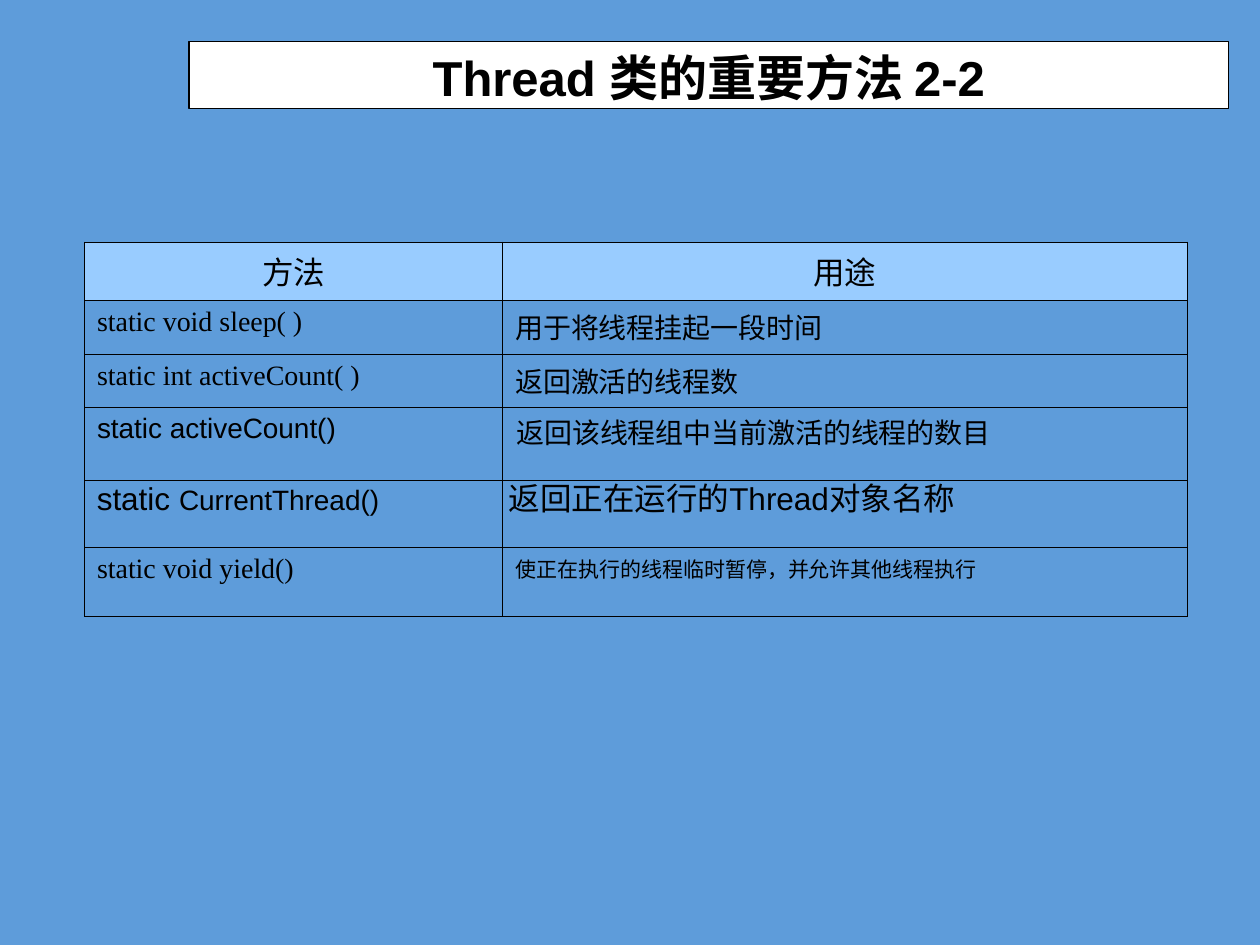
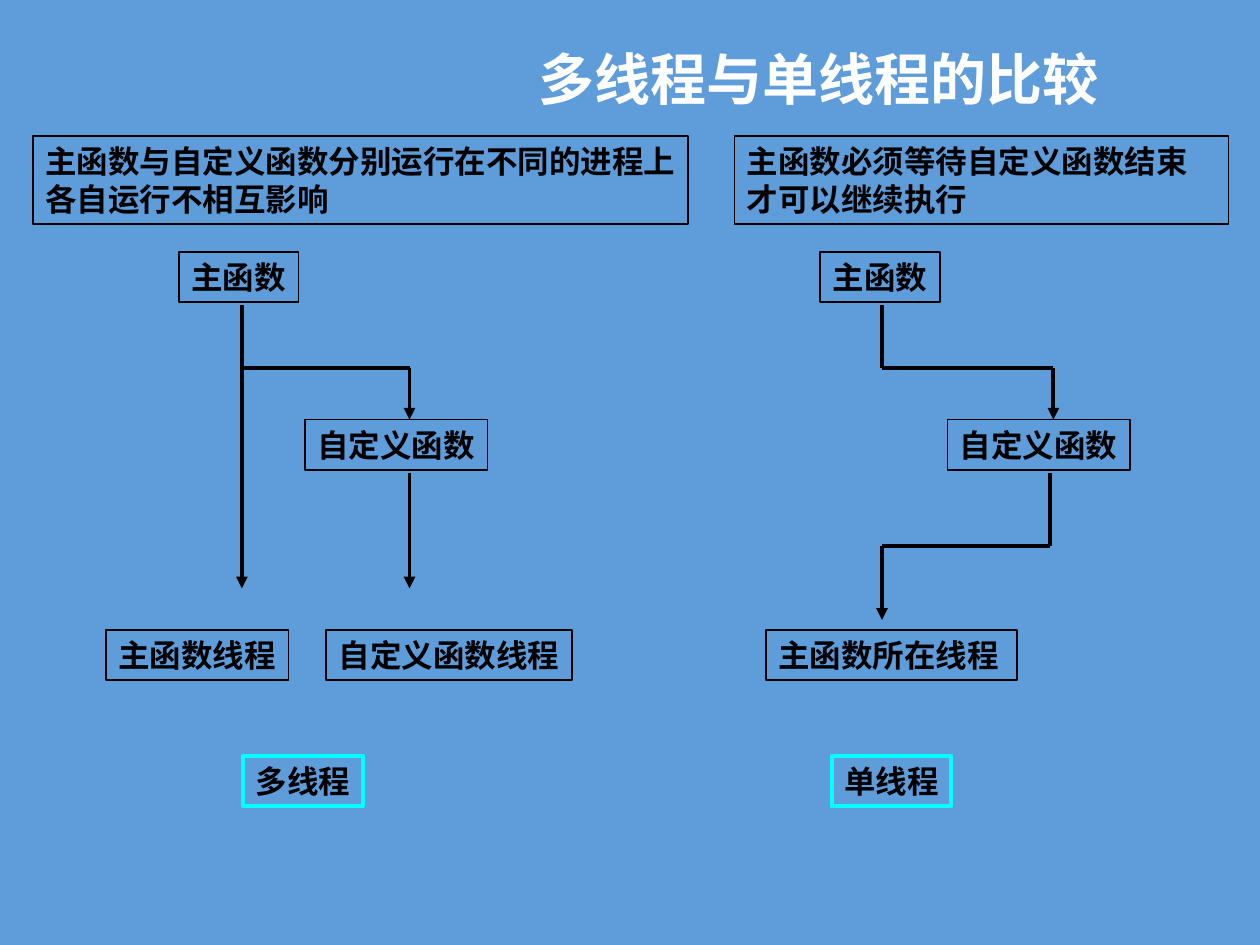
from lxml import etree
from pptx import Presentation
from pptx.dml.color import RGBColor
from pptx.enum.shapes import MSO_CONNECTOR, MSO_SHAPE
from pptx.enum.text import MSO_ANCHOR, MSO_AUTO_SIZE, PP_ALIGN
from pptx.oxml.ns import qn
from pptx.util import Inches, Pt

STRAIGHT = MSO_CONNECTOR.STRAIGHT
RECTANGLE = MSO_SHAPE.RECTANGLE
TOP = MSO_ANCHOR.TOP
NO_FIT, GROW = MSO_AUTO_SIZE.NONE, MSO_AUTO_SIZE.SHAPE_TO_FIT_TEXT
LEFT, CENTER = PP_ALIGN.LEFT, PP_ALIGN.CENTER

COLORS = {
    "background": "5E9CDA",
    "header": "99CCFF",
    "ink": "000000",
    "white": "FFFFFF",
    "caption": "00FFFF",
}
SANS, SERIF, CHINESE = "Arial", "Times New Roman", "Noto Sans CJK SC"


def write_text(paragraph, text, size=18, font=SANS, color="ink", bold=False, align=LEFT):
    paragraph.alignment = align
    run = paragraph.add_run()
    run.text = text
    run.font.size = Pt(size)
    run.font.bold = bold
    run.font.color.rgb = RGBColor.from_string(COLORS[color])
    run.font.name = font
    etree.SubElement(run.font._element, qn("a:ea"), typeface=CHINESE)


def add_box(slide, text, left, top, width, height=0.4, outline="ink", weight=1, wrap=False, **text_format):
    place = [Inches(length) for length in (left, top, width, height)]
    if outline:
        shape = slide.shapes.add_shape(RECTANGLE, *place)
        shape.shadow.inherit = False
        shape.fill.background()
        shape.line.color.rgb = RGBColor.from_string(COLORS[outline])
        shape.line.width = Pt(weight)
    else:
        shape = slide.shapes.add_textbox(*place)
    frame = shape.text_frame
    frame.word_wrap = wrap
    frame.auto_size = GROW
    frame.vertical_anchor = TOP
    for index, line in enumerate(text.split("\n")):
        paragraph = frame.add_paragraph() if index else frame.paragraphs[0]
        write_text(paragraph, line, **text_format)
    return frame


presentation = Presentation()
presentation.slide_width = Inches(10)
presentation.slide_height = Inches(7.5)
background = presentation.slide_master.background.fill
background.solid()
background.fore_color.rgb = RGBColor.from_string(COLORS["background"])
title_only = presentation.slide_layouts[5]

slides = []
for text, place, inset, size, color in [
    ("Thread 类的重要方法 2-2", (1.5, 0.33, 8.25, 0.53), 0.1, 28, "ink"),
    ("多线程与单线程的比较", (0.5, 0.3, 9, 1.25), 3.1, 32, "white"),
]:
    slide = presentation.slides.add_slide(title_only)
    title = slide.shapes.title
    title.left, title.top, title.width, title.height = [Inches(length) for length in place]
    frame = title.text_frame
    frame.auto_size = NO_FIT
    frame.vertical_anchor = TOP
    frame.margin_left = Inches(inset)
    write_text(frame.paragraphs[0], text, size=size, color=color, bold=True, align=CENTER)
    slides.append(slide)
methods_slide, comparison_slide = slides

methods_title = methods_slide.shapes.title
methods_title.fill.solid()
methods_title.fill.fore_color.rgb = RGBColor.from_string(COLORS["white"])
methods_title.line.color.rgb = RGBColor.from_string(COLORS["ink"])
methods_title.line.width = Pt(0.75)

header = {"align": CENTER}
code = {"size": 16, "font": SERIF}
purpose = {"size": 16, "font": CHINESE}
rows = [
    (0.4, ("方法", header), ("用途", header)),
    (0.43, ("static void sleep( )", code), ("用于将线程挂起一段时间", purpose)),
    (0.42, ("static int activeCount( )", code), ("返回激活的线程数", purpose)),
    (0.58, ("static activeCount()", {"size": 16}), None),
    (0.53, None, None),
    (0.55, ("static void yield()", code), ("使正在执行的线程临时暂停，并允许其他线程执行", {"size": 12})),
]
table = methods_slide.shapes.add_table(
    len(rows), 2, Inches(0.67), Inches(1.92), Inches(8.75), Inches(2.92)
).table
table.first_row = False
table.horz_banding = False
for column, width in zip(table.columns, (3.32, 5.43)):
    column.width = Inches(width)
for row_index, (height, *entries) in enumerate(rows):
    table.rows[row_index].height = Inches(height)
    for column_index, entry in enumerate(entries):
        cell = table.cell(row_index, column_index)
        properties = cell._tc.get_or_add_tcPr()
        for side in ("a:lnL", "a:lnR", "a:lnT", "a:lnB"):
            border = etree.SubElement(properties, qn(side), w=str(Pt(0.45)))
            border_fill = etree.SubElement(border, qn("a:solidFill"))
            etree.SubElement(border_fill, qn("a:srgbClr"), val=COLORS["ink"])
        if row_index == 0:
            cell.fill.solid()
            cell.fill.fore_color.rgb = RGBColor.from_string(COLORS["header"])
        else:
            cell.fill.background()
        if entry:
            text, text_format = entry
            write_text(cell.text_frame.paragraphs[0], text, **text_format)

add_box(methods_slide, "返回该线程组中当前激活的线程的数目", 4, 3.25, 3.97, 0.37, outline=None, size=16)
current_thread = add_box(methods_slide, "static ", 0.67, 3.75, 2.44, outline=None)
write_text(current_thread.paragraphs[0], "CurrentThread()", size=16)
add_box(methods_slide, "返回正在运行的Thread对象名称", 3.94, 3.75, 3.86, outline=None)

MAIN_TOP, CUSTOM_TOP, THREAD_TOP, CAPTION_TOP = 2, 3.33, 5, 6
for text, left, top, width in [
    ("主函数", 1.42, MAIN_TOP, 0.95),
    ("自定义函数", 2.42, CUSTOM_TOP, 1.45),
    ("主函数线程", 0.84, THREAD_TOP, 1.45),
    ("自定义函数线程", 2.59, THREAD_TOP, 1.95),
    ("主函数", 6.51, MAIN_TOP, 0.95),
    ("自定义函数", 7.52, CUSTOM_TOP, 1.45),
]:
    add_box(comparison_slide, text, left, top, width, bold=True)
add_box(comparison_slide, "主函数所在线程", 6.08, THREAD_TOP, 1.99, wrap=True, bold=True)
for text, left in [("多线程", 1.93), ("单线程", 6.6)]:
    add_box(comparison_slide, text, left, CAPTION_TOP, 0.95, outline="caption", weight=2.25, bold=True)
add_box(comparison_slide, "主函数与自定义函数分别运行在不同的进程上\n各自运行不相互影响", 0.26, 1.08, 5.2, 0.7, bold=True)
add_box(comparison_slide, "主函数必须等待自定义函数结束才可以继续执行", 5.83, 1.08, 3.92, 0.7, wrap=True, bold=True)

flows = [
    [(1.92, 2.42), (1.92, 4.67)],
    [(1.92, 2.92), (3.25, 2.92), (3.25, CUSTOM_TOP)],
    [(3.25, 3.75), (3.25, 4.67)],
    [(7, 2.42), (7, 2.92), (8.36, 2.92), (8.36, CUSTOM_TOP)],
    [(8.33, 3.75), (8.33, 4.33), (7, 4.33), (7, 4.92)],
]
for points in flows:
    for start, end in zip(points, points[1:]):
        connector = comparison_slide.shapes.add_connector(
            STRAIGHT, *[Inches(length) for length in start + end]
        )
        connector.line.color.rgb = RGBColor.from_string(COLORS["ink"])
        connector.line.width = Pt(2.25)
        if end == points[-1] and start[0] == end[0]:
            etree.SubElement(connector.line._get_or_add_ln(), qn("a:tailEnd"), type="triangle")
        etree.SubElement(connector._element.spPr, qn("a:effectLst"))

presentation.save("out.pptx")
